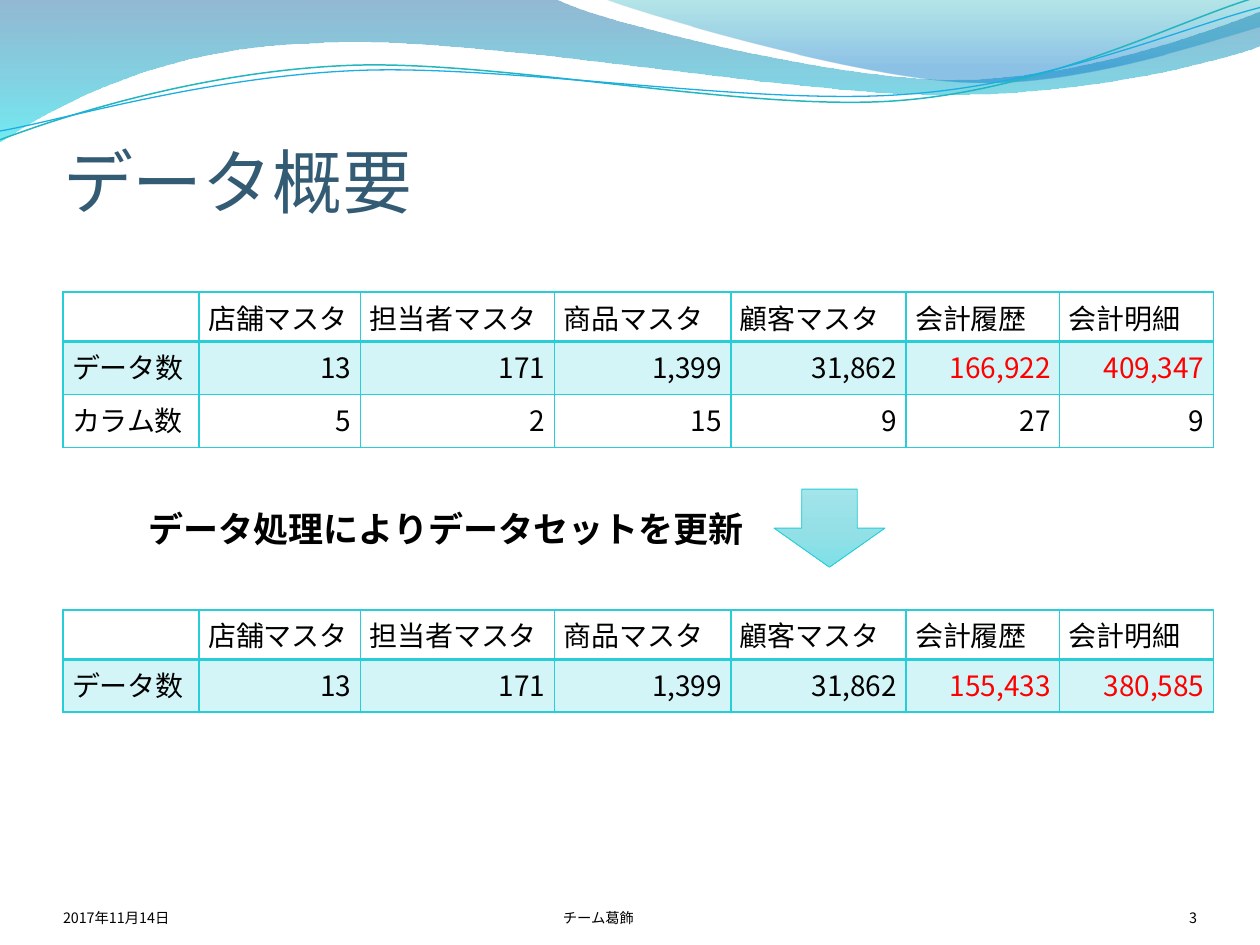
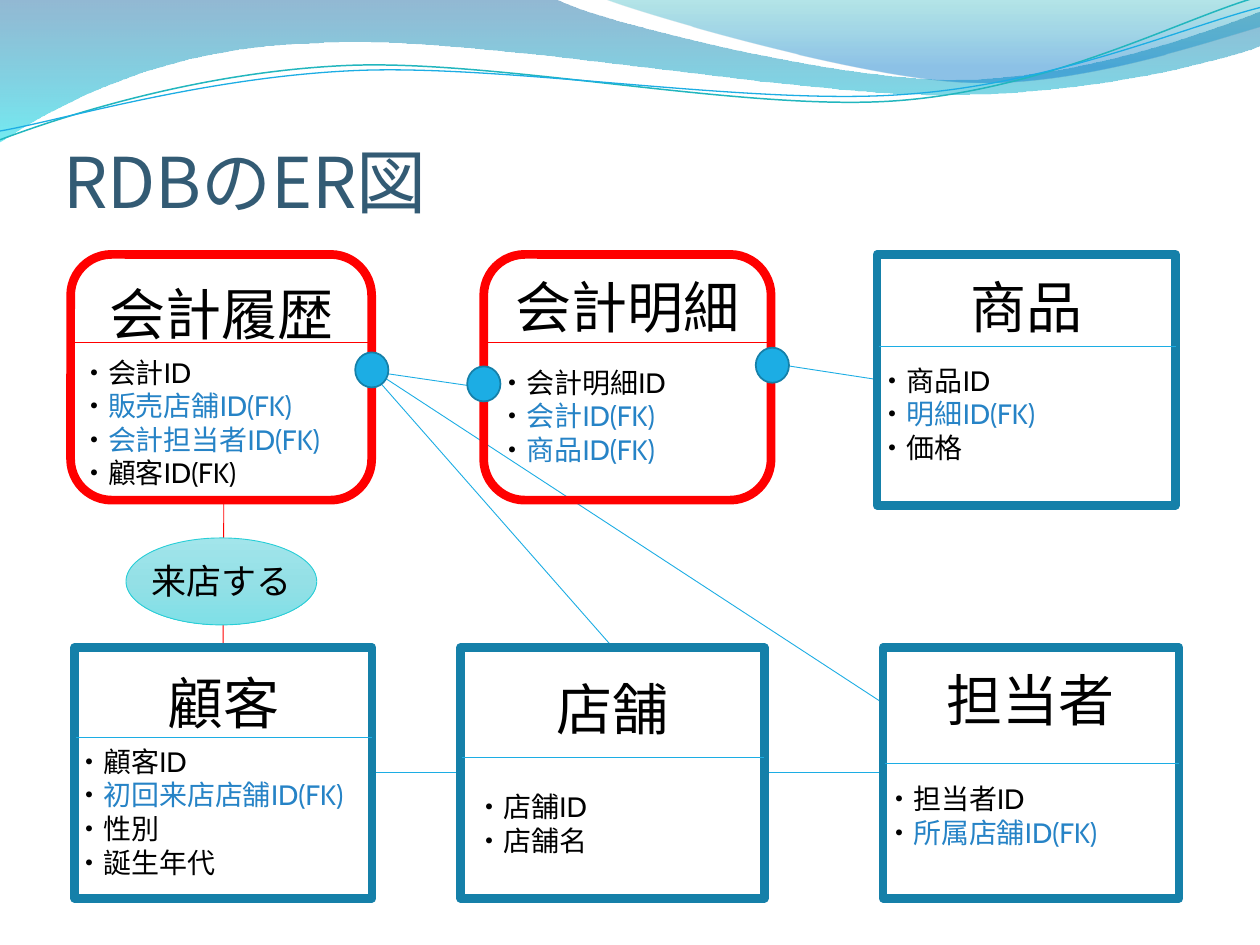
"""Builds two slides: a data overview and an entity-relationship diagram."""
from collections import namedtuple

import lxml.etree
import pptx
import pptx.dml.color
import pptx.enum.shapes
import pptx.enum.text
import pptx.oxml.ns
import pptx.util

Pt = pptx.util.Pt
Align = pptx.enum.text.PP_ALIGN
Anchor = pptx.enum.text.MSO_ANCHOR
Preset = pptx.enum.shapes.MSO_SHAPE
qn = pptx.oxml.ns.qn

Box = namedtuple("Box", "left top width height")  # points
INSETS = (7.2, 3.6, 7.2, 3.6)


class Theme:
    """Colours, fonts and type sizes shared by the slides."""
    title, text, alert = "335B74", "000000", "FF0000"
    line, frame, link, table = "1CADE4", "1580A9", "2683C6", "27CED7"
    wave_line = "22B6BE"
    glass = [(0, "A2E5EB", 100), (50, "94E0E6", 100), (100, "7FE0E7", 100)]
    wave = [(0, "10639E", 45), (100, "00DBE7", 55)]
    crest = [(0, "09AAB3", 30), (80, "0578CB", 45)]
    sans, diagram = "Noto Sans CJK JP", "Cabin"
    title_size, entity_size, label_size, body_size, footer_size = 40, 32, 20, 16, 8.2
    thin, rule, heavy, thick = 0.5, 1, 2, 5


def rgb(color):
    """Turn a hex string into a colour."""
    return pptx.dml.color.RGBColor.from_string(color)


def emu(box):
    """Give the four lengths of a box to python-pptx."""
    return [Pt(length) for length in box]


def add_color(parent, color, opacity=100):
    """Append an srgbClr element, with alpha when it is see-through."""
    node = lxml.etree.SubElement(parent, qn("a:srgbClr"), val=color)
    if opacity < 100:
        lxml.etree.SubElement(node, qn("a:alpha"), val=str(opacity * 1000))


def fill_gradient(shape, stops):
    """Fill a shape from top to bottom with (position, colour, opacity) stops."""
    shape.fill.gradient()
    shape.fill.gradient_angle = 270
    stop_list = next(shape.element.iter(qn("a:gsLst")))
    for old in list(stop_list):
        stop_list.remove(old)
    for position, color, opacity in stops:
        stop = lxml.etree.SubElement(stop_list, qn("a:gs"), pos=str(position * 1000))
        add_color(stop, color, opacity)


def style_shape(shape, fill=None, line=None, width=Theme.thin):
    """Set fill (colour, gradient stops or none) and outline; drop the shadow."""
    shape.shadow.inherit = False
    if fill is None:
        shape.fill.background()
    elif isinstance(fill, str):
        shape.fill.solid()
        shape.fill.fore_color.rgb = rgb(fill)
    else:
        fill_gradient(shape, fill)
    if line is None:
        shape.line.fill.background()
    else:
        shape.line.color.rgb = rgb(line)
        shape.line.width = Pt(width)


def add_preset(page, kind, box, **style):
    """Add a styled preset shape."""
    style_shape(page.shapes.add_shape(kind, *emu(box)), **style)


def add_line(page, start, end, color=Theme.line):
    """Draw a thin straight connector between two points."""
    line = page.shapes.add_connector(
        pptx.enum.shapes.MSO_CONNECTOR.STRAIGHT, *emu(start + end))
    line.line.color.rgb = rgb(color)
    line.line.width = Pt(Theme.thin)
    lxml.etree.SubElement(line.element.spPr, qn("a:effectLst"))


def format_para(para, size, color=Theme.text, font=Theme.sans, bold=False, align=Align.LEFT):
    """Format a paragraph and all of its runs."""
    para.alignment = align
    for span in para.runs:
        span.font.size = Pt(size)
        span.font.bold = bold
        span.font.color.rgb = rgb(color)
        span.font.name = font
        east_asian = lxml.etree.SubElement(span.font._element, qn("a:ea"))
        east_asian.set("typeface", font)


def set_frame(frame, anchor=Anchor.TOP, insets=INSETS):
    """Set wrapping, anchor and insets of a text frame."""
    frame.word_wrap = True
    frame.auto_size = pptx.enum.text.MSO_AUTO_SIZE.NONE
    frame.vertical_anchor = anchor
    (frame.margin_left, frame.margin_top,
     frame.margin_right, frame.margin_bottom) = emu(insets)


def add_text(page, box, text, size, anchor=Anchor.TOP, insets=INSETS, **style):
    """Add a text box with one paragraph."""
    frame = page.shapes.add_textbox(*emu(box)).text_frame
    set_frame(frame, anchor, insets)
    frame.text = text
    format_para(frame.paragraphs[0], size, **style)


# Wave outlines in inches: start, then Bezier triples or single line points.
BAND = [[(0, 0)], [(4.4, -0.01)],
        [(4.75, 0.17), (6.63, 0.63), (7.58, 0.63)],
        [(8.53, 0.63), (9.58, 0.26), (10, 0.09)], [(10.01, 0.36)],
        [(9.83, 0.44), (8.69, 0.76), (7.46, 0.75)],
        [(6.22, 0.75), (3.81, 0.28), (2.57, 0.34)],
        [(1.29, 0.36), (0.46, 0.83), (-0.01, 1.13)]]
CREST = [[(4.79, -0.01)], [(5.09, 0.11), (6.82, 0.62), (7.68, 0.65)],
         [(8.55, 0.69), (9.61, 0.32), (10, 0.21)], [(10, 0)]]
UPPER_LINE = [[(0, 1.11)], [(0.48, 0.93), (1.57, 0.57), (2.76, 0.52)],
              [(3.95, 0.47), (5.92, 0.89), (7.12, 0.8)],
              [(8.33, 0.71), (9.38, 0.15), (9.97, -0.02)]]
LOWER_LINE = [[(0, 1.04)], [(0.47, 0.96), (1.63, 0.61), (2.83, 0.56)],
              [(4.02, 0.51), (5.97, 0.84), (7.17, 0.75)],
              [(8.36, 0.67), (9.41, 0.21), (10, 0.06)]]


def add_curve(page, outline, closed):
    """Build a freeform through the knots, then bend its sides into Beziers."""
    parts = [[(Pt(x * 72), Pt(y * 72)) for x, y in part] for part in outline]
    builder = page.shapes.build_freeform(*parts[0][0])
    builder.add_line_segments([part[-1] for part in parts[1:]], close=closed)
    shape = builder.convert_to_shape()
    sides = list(shape.element.iter(qn("a:lnTo")))
    for side, part in zip(sides, parts[1:]):
        if len(part) == 3:
            curve = lxml.etree.Element(qn("a:cubicBezTo"))
            for x, y in part:
                lxml.etree.SubElement(curve, qn("a:pt"), x=str(x - shape.left),
                                      y=str(y - shape.top))
            side.getparent().replace(side, curve)
    return shape


def add_waves(deck, page):
    """Draw the wave header and move it to the slide master."""
    tree = deck.slide_master.shapes.element
    waves = [(BAND, dict(fill=Theme.wave)), (CREST, dict(fill=Theme.crest)),
             (UPPER_LINE, dict(line=Theme.wave_line, width=0.85)),
             (LOWER_LINE, dict(line=Theme.line, width=0.75))]
    for index, (outline, style) in enumerate(waves):
        shape = add_curve(page, outline, closed="fill" in style)
        style_shape(shape, **style)
        shape.element.xpath(".//p:cNvPr")[0].set("id", str(100 + index))
        tree.insert(2 + index, shape.element)


def add_page(deck, title):
    """Add a slide with the shared title style."""
    page = deck.slides.add_slide(deck.slide_layouts[5])
    holder = page.shapes.title
    holder.left, holder.top, holder.width, holder.height = emu(Box(36, 36.7, 648, 90))
    holder.text_frame.text = title
    set_frame(holder.text_frame, Anchor.BOTTOM, (0, 3.6, 0, 0))
    para = holder.text_frame.paragraphs[0]
    para.line_spacing = 0.8
    format_para(para, Theme.title_size, Theme.title)
    return page


def add_footer(page, box, date, team, number):
    """Place date, team and page number along the footer box."""
    parts = [(date, 0, 168, Align.LEFT), (team, 174, 264, Align.CENTER),
             (number, box.width - 60, 60, Align.RIGHT)]
    for text, offset, width, align in parts:
        add_text(page, Box(box.left + offset, box.top, width, box.height), text,
                 Theme.footer_size, Anchor.BOTTOM, (0, 0, 0, 0), align=align)


def border_cell(cell, top, bottom):
    """Draw the four borders of a cell."""
    sides = [("a:lnL", Theme.rule), ("a:lnR", Theme.rule), ("a:lnT", top), ("a:lnB", bottom)]
    properties = cell._tc.get_or_add_tcPr()
    for index, (side, width) in enumerate(sides):
        line = lxml.etree.Element(qn(side), w=str(Pt(width)))
        add_color(lxml.etree.SubElement(line, qn("a:solidFill")), Theme.table)
        properties.insert(index, line)


def add_data_table(page, box, rows):
    """Add a table whose data-count row is tinted, its last two counts in red."""
    table = page.shapes.add_table(len(rows), len(rows[0]), *emu(box)).table
    table.first_row = table.horz_banding = False
    for column, width in zip(table.columns, (77.8, 92.2, 110.9, 100.8, 100.1, 87.8, 87.8)):
        column.width = Pt(width)
    for row, values in enumerate(rows):
        table.rows[row].height = Pt(30.2 if row else 28.1)
        for column, value in enumerate(values):
            cell = table.cell(row, column)
            cell.margin_left = cell.margin_right = Pt(5.2)
            cell.margin_top = cell.margin_bottom = Pt(2.6)
            cell.text = value
            format_para(cell.text_frame.paragraphs[0], Theme.body_size,
                        Theme.alert if row == 1 and column > 4 else Theme.text,
                        align=Align.RIGHT if row and column else Align.LEFT)
            if row == 1:
                cell.fill.solid()
                fill = cell._tc.tcPr.find(qn("a:solidFill"))
                for old in list(fill):
                    fill.remove(old)
                add_color(fill, Theme.table, 20)
            else:
                cell.fill.background()
            border_cell(cell, Theme.heavy if row == 1 else Theme.rule,
                        Theme.rule if row else Theme.heavy)


def add_overview(page, box):
    """Place the tables before and after processing, and the arrow between."""
    header = ["", "店舗マスタ", "担当者マスタ", "商品マスタ", "顧客マスタ", "会計履歴", "会計明細"]
    counts = ["データ数", "13", "171", "1,399", "31,862"]
    columns = ["カラム数", "5", "2", "15", "9", "27", "9"]
    left, top, width, _ = box
    add_data_table(page, Box(left, top, width, 88.5),
                   [header, counts + ["166,922", "409,347"], columns])
    add_preset(page, Preset.DOWN_ARROW, Box(left + 406.3, top + 112.5, 63.4, 44.6),
               fill=Theme.glass, line=Theme.table)
    add_text(page, Box(left + 41.7, top + 119.5, 640, 31),
             "データ処理によりデータセットを更新", Theme.label_size, bold=True)
    add_data_table(page, Box(left, top + 181.5, width, 58.3),
                   [header, counts + ["155,433", "380,585"]])


def add_entity(page, box, name, fields, name_drop, rule_drop, indent, field_drop, main=False):
    """Draw one entity: frame, name, rule and fields; main ones are round and red."""
    kind = Preset.ROUNDED_RECTANGLE if main else Preset.RECTANGLE
    add_preset(page, kind, box, line=Theme.alert if main else Theme.frame, width=Theme.thick)
    left, top, width, height = box
    add_text(page, Box(left, top + name_drop, width, 47), name, Theme.entity_size,
             font=Theme.diagram, align=Align.CENTER)
    add_line(page, (left + 1, top + rule_drop), (left + width, top + rule_drop),
             Theme.alert if main else Theme.line)
    frame = page.shapes.add_textbox(
        *emu(Box(left + indent, top + field_drop, width, height - field_drop))).text_frame
    set_frame(frame, insets=(2.6, 3.6, 2.6, 3.6))
    for index, (field, linked) in enumerate(fields):
        para = frame.add_paragraph() if index else frame.paragraphs[0]
        para.text = "・"
        para.add_run().text = field
        format_para(para, Theme.body_size, font=Theme.diagram)
        para.runs[0].font._element.set("spc", "-570")  # tighten the dot to its word
        if linked:
            para.runs[1].font.color.rgb = rgb(Theme.link)


def add_diagram(page, box):
    """Place relations, the visit bubble, the entities and the joints."""
    def at(x, y):
        return box.left + x, box.top + y

    upper, lower = 0, 224.6
    relations = [((163, 65.5), (228, 75)), ((310, lower), (171.5, 67)),
                 ((463, 255.5), (172, 65.5)), ((461, 71.5), (409, 63.5)),
                 ((172, 296), (223, 296)), ((464.5, 296), (396, 296))]
    for start, end in relations:
        add_line(page, at(*start), at(*end))
    add_line(page, at(87.3, lower), at(87.7, 139), Theme.alert)

    add_preset(page, Preset.OVAL, Box(*at(31.8, 162), 109, 49.7),
               fill=Theme.glass, line=Theme.table)
    add_text(page, Box(*at(39, 170.7), 101.5, 31.7), "来店する", Theme.label_size,
             font=Theme.diagram)

    add_entity(page, Box(*at(0.2, upper), 172, 140.4), "会計履歴",
               [("会計ID", False), ("販売店舗ID(FK)", True),
                ("会計担当者ID(FK)", True), ("顧客ID(FK)", False)], 10.8, 50.2, 2.8, 54, main=True)
    add_entity(page, Box(*at(236.2, upper), 164.2, 140.4), "会計明細",
               [("会計明細ID", False), ("会計ID(FK)", True), ("商品ID(FK)", True)],
               7, 50.5, 6, 59.7, main=True)
    add_entity(page, Box(*at(461, upper), 170.6, 143.3), "商品",
               [("商品ID", False), ("明細ID(FK)", True), ("価格", False)], 7, 52.5, -1.5, 58.7)
    add_entity(page, Box(*at(2.4, lower), 170, 143.3), "顧客",
               [("顧客ID", False), ("初回来店店舗ID(FK)", True),
                ("性別", False), ("誕生年代", False)], 8.6, 51.2, -2, 51.8)
    add_entity(page, Box(*at(223, lower), 173.5, 143.3), "店舗",
               [("店舗ID", False), ("店舗名", False)], 12.2, 62.7, 6, 77.7)
    add_entity(page, Box(*at(464.4, lower), 169.2, 143.3), "担当者",
               [("担当者ID", False), ("所属店舗ID(FK)", True)], 6.5, 66.2, -1.3, 73.3)

    for corner in ((162.8, 56), (226.8, 64), (391.7, 53.3)):
        add_preset(page, Preset.OVAL, Box(*at(*corner), 19, 20),
                   fill=Theme.line, line=Theme.frame, width=Theme.rule)


deck = pptx.Presentation()
deck.slide_width, deck.slide_height = Pt(720), Pt(540)

overview = add_page(deck, "データ概要")
add_waves(deck, overview)
add_overview(overview, Box(36, 167, 657.4, 240))
add_footer(overview, Box(36, 500.5, 648, 28.8), "2017年11月14日", "チーム葛飾", "3")

diagram = add_page(deck, "RDBのER図")
add_diagram(diagram, Box(40.2, 145.4, 634, 368))

deck.save("out.pptx")
